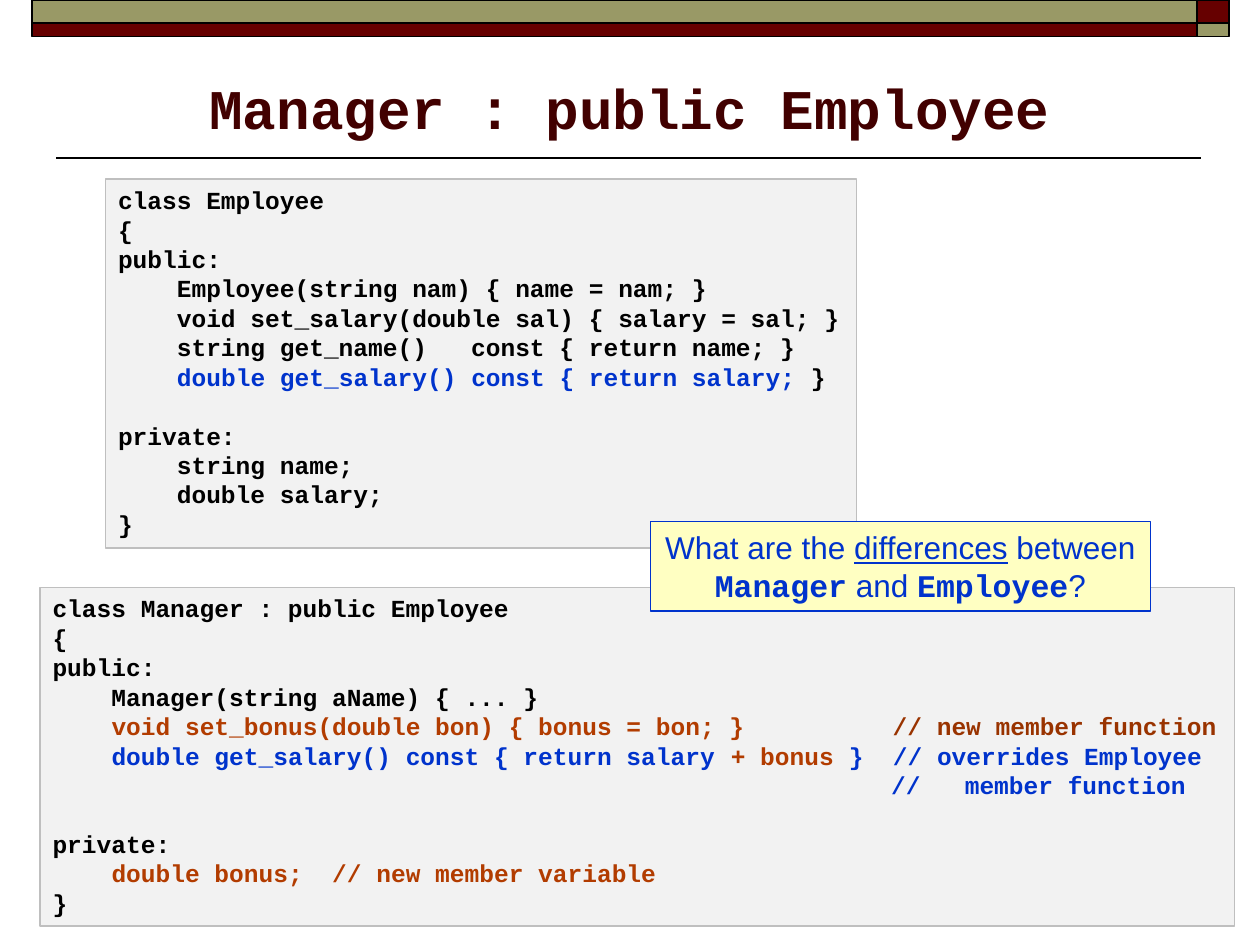
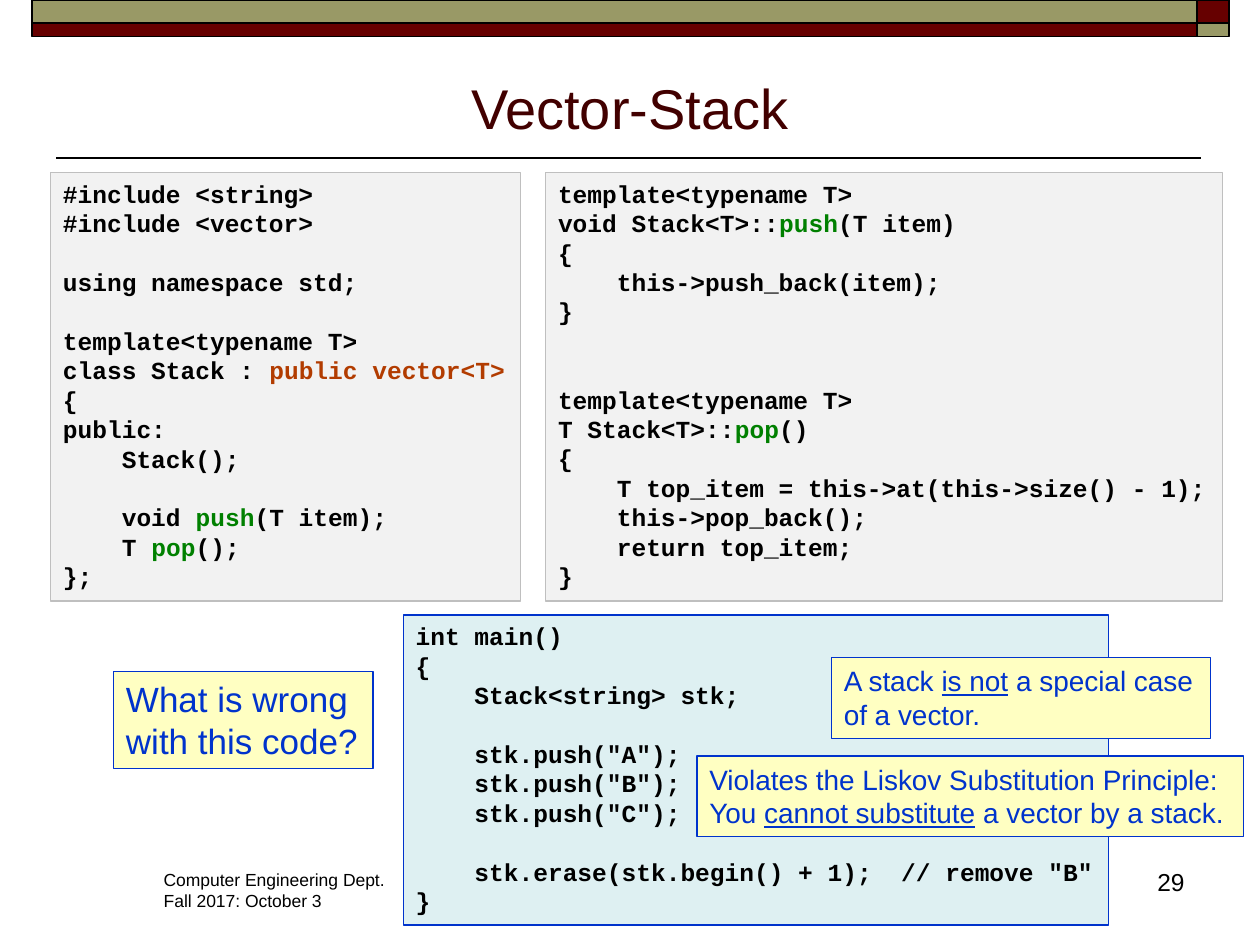
from lxml.etree import SubElement
from pptx import Presentation
from pptx.dml.color import RGBColor
from pptx.enum.shapes import MSO_CONNECTOR, MSO_SHAPE
from pptx.enum.text import MSO_ANCHOR, PP_ALIGN
from pptx.oxml.ns import qn
from pptx.util import Cm, Pt

BLACK = RGBColor(0x00, 0x00, 0x00)
MAROON = RGBColor(0x66, 0x00, 0x00)
OLIVE = RGBColor(0x99, 0x99, 0x66)
TITLE = RGBColor(0x42, 0x00, 0x00)
BLUE = RGBColor(0x00, 0x33, 0xCC)
RUST = RGBColor(0xB2, 0x3C, 0x00)
BROWN = RGBColor(0x99, 0x33, 0x00)
GREEN = RGBColor(0x00, 0x80, 0x00)
GREY = RGBColor(0xF2, 0xF2, 0xF2)
GREY_EDGE = RGBColor(0xBF, 0xBF, 0xBF)
CYAN = RGBColor(0xDE, 0xF0, 0xF2)
YELLOW = RGBColor(0xFF, 0xFF, 0xC2)

SANS, MONO = "Arial", "Courier New"
LINE_HEIGHT = 1.2  # times the text size

# Run formats
UNDERLINED = dict(underline=True)
CODE_WORD = dict(font=MONO, bold=True)
IN_BLUE, IN_RUST = dict(color=BLUE), dict(color=RUST)
IN_BROWN, IN_GREEN = dict(color=BROWN), dict(color=GREEN)

# Box styles
CODE = dict(fill=GREY, edge=GREY_EDGE, font=MONO, size=14, bold=True)
MAIN_CODE = CODE | dict(fill=CYAN, edge=BLUE)
NOTE = dict(fill=YELLOW, edge=BLUE, color=BLUE, size=16)

# Content: a line is a string or a list of strings and (string, format) pairs
EMPLOYEE = [
    "class Employee",
    "{",
    "public:",
    "    Employee(string nam) { name = nam; }",
    "    void set_salary(double sal) { salary = sal; }",
    "    string get_name()   const { return name; }",
    ["    ", ("double get_salary() const { return salary;", IN_BLUE), " }"],
    "",
    "private:",
    "    string name;",
    "    double salary;",
    "}",
]
MANAGER = [
    "class Manager : public Employee",
    "{",
    "public:",
    "    Manager(string aName) { ... }",
    ["    ", ("void set_bonus(double bon) { bonus = bon; }", IN_RUST),
     ("          // new member function", IN_BROWN)],
    ["    ", ("double get_salary() const { return salary ", IN_BLUE),
     ("+ bonus ", IN_RUST), ("}  // overrides Employee", IN_BLUE)],
    [(" " * 57 + "//   member function", IN_BLUE)],
    "",
    "private:",
    ["    ", ("double bonus;  // new member variable", IN_RUST)],
    "}",
]
STACK_CLASS = [
    "#include <string>",
    "#include <vector>",
    "",
    "using namespace std;",
    "",
    "template<typename T>",
    ["class Stack : ", ("public vector<T>", IN_RUST)],
    "{",
    "public:",
    "    Stack();",
    "",
    ["    void ", ("push", IN_GREEN), "(T item);"],
    ["    T ", ("pop", IN_GREEN), "();"],
    "};",
]
STACK_METHODS = [
    "template<typename T>",
    ["void Stack<T>::", ("push", IN_GREEN), "(T item)"],
    "{",
    "    this->push_back(item);",
    "}",
    "",
    "",
    "template<typename T>",
    ["T Stack<T>::", ("pop", IN_GREEN), "()"],
    "{",
    "    T top_item = this->at(this->size() - 1);",
    "    this->pop_back();",
    "    return top_item;",
    "}",
]
STACK_MAIN = [
    "int main()",
    "{",
    "    Stack<string> stk;",
    "",
    '    stk.push("A");',
    '    stk.push("B");',
    '    stk.push("C");',
    "",
    '    stk.erase(stk.begin() + 1);  // remove "B"',
    "}",
]
DIFFERENCES = [
    ["What are the ", ("differences", UNDERLINED), " between"],
    [("Manager", CODE_WORD), " and ", ("Employee", CODE_WORD), "?"],
]
NOT_A_VECTOR = [
    ["A stack ", ("is not", UNDERLINED), " a special case"],
    "of a vector.",
]
LISKOV = [
    "Violates the Liskov Substitution Principle:",
    ["You ", ("cannot substitute", UNDERLINED), " a vector by a stack."],
]
FOOTER = ["Computer Engineering Dept.", "Fall 2017: October 3"]

# Slides: title, title format, then boxes as (lines, (left, top, width, height) in cm, format)
SLIDES = [
    ("Manager : public Employee", CODE_WORD, [
        (EMPLOYEE, (2.13, 3.61, 15.14, 7.44), CODE),
        (MANAGER, (0.81, 11.84, 24.08, 6.83), CODE),
        (DIFFERENCES, (13.11, 10.52, 10.08, 1.8),
         NOTE | dict(size=18, align=PP_ALIGN.CENTER)),
    ]),
    ("Vector-Stack", {}, [
        (FOOTER, (3.05, 17.4, 5, 1.12), dict(size=10)),
        (["29"], (22.61, 17.35, 1.52, 1.27),
         dict(size=14, align=PP_ALIGN.RIGHT, wrap=True)),
        (STACK_CLASS, (1.02, 3.48, 9.47, 8.64), CODE),
        (STACK_METHODS, (11, 3.48, 13.64, 8.64), CODE),
        (STACK_MAIN, (8.13, 12.4, 14.22, 6.25), MAIN_CODE),
        (["What is wrong", "with this code?"], (2.29, 13.54, 5.23, 1.96),
         NOTE | dict(size=20)),
        (NOT_A_VECTOR, (16.76, 13.26, 7.65, 1.63), NOTE),
        (LISKOV, (14.05, 15.24, 11.02, 1.63), NOTE),
    ]),
]

# Corner band: columns and rows as (start, length) in cm
BAND_COLUMNS = [(0.64, 23.5), (24.13, 0.64)]
BAND_ROWS = [(0, 0.46), (0.46, 0.28)]


def add_rect(s, place, fill, edge, width):
    sp = s.shapes.add_shape(MSO_SHAPE.RECTANGLE, *map(Cm, place))
    sp.shadow.inherit = False
    sp.fill.solid()
    sp.fill.fore_color.rgb = fill
    sp.line.color.rgb = edge
    sp.line.width = Pt(width)
    return sp


def format_run(r, font, size, color, bold, underline=False):
    r.font.name, r.font.size = font, Pt(size)
    r.font.color.rgb = color
    r.font.bold, r.font.underline = bold, underline


def add_text(s, lines, place, fill=None, edge=None, font=SANS, size=14, color=BLACK,
             bold=False, align=PP_ALIGN.LEFT, anchor=MSO_ANCHOR.TOP, wrap=False):
    if fill is None:
        sp = s.shapes.add_textbox(*map(Cm, place))
    else:
        sp = add_rect(s, place, fill, edge, 0.75)
    tf = sp.text_frame
    tf.word_wrap, tf.vertical_anchor = wrap, anchor
    base = dict(font=font, size=size, color=color, bold=bold)
    pitch = size * LINE_HEIGHT
    p, skipped = None, 0
    for line in lines:
        if not line:  # an empty line becomes space before the next one
            skipped += 1
            continue
        p = tf.add_paragraph() if p else tf.paragraphs[0]
        p.alignment, p.line_spacing = align, Pt(pitch)
        if skipped:
            p.space_before = Pt(skipped * pitch)
            skipped = 0
        for part in [line] if isinstance(line, str) else line:
            text, changes = (part, {}) if isinstance(part, str) else part
            r = p.add_run()
            r.text = text
            format_run(r, **(base | changes))


def add_frame(s):
    # Rule below the title
    rule = s.shapes.add_connector(MSO_CONNECTOR.STRAIGHT,
                                  Cm(24.21), Cm(3.18), Cm(1.12), Cm(3.18))
    rule.line.color.rgb = BLACK
    rule.line.width = Pt(1)
    SubElement(rule.element.spPr, qn("a:effectLst"))
    # Checkered band along the top edge
    for row, (top, height) in enumerate(BAND_ROWS):
        for col, (left, width) in enumerate(BAND_COLUMNS):
            fill = OLIVE if row == col == 0 or row == col == 1 else MAROON
            add_rect(s, (left, top, width, height), fill, BLACK, 1)


def main():
    prs = Presentation()
    prs.slide_width, prs.slide_height = Cm(25.4), Cm(19.05)
    for title, title_format, boxes in SLIDES:
        s = prs.slides.add_slide(prs.slide_layouts[6])
        add_frame(s)
        add_text(s, [title], (1.27, 1.14, 22.86, 1.83), size=32, color=TITLE,
                 align=PP_ALIGN.CENTER, anchor=MSO_ANCHOR.BOTTOM, wrap=True,
                 **title_format)
        for lines, place, box_format in boxes:
            add_text(s, lines, place, **box_format)
    prs.save("out.pptx")


if __name__ == "__main__":
    main()
